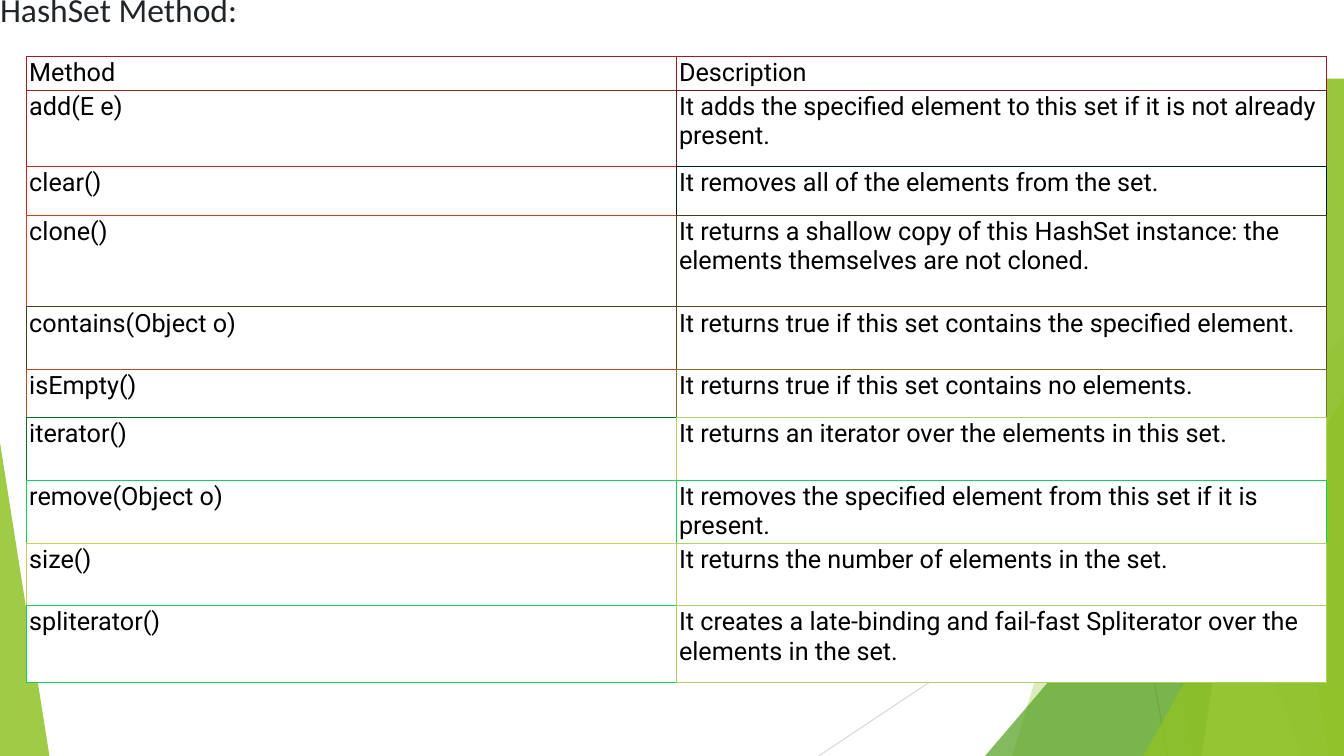
from lxml import etree
from pptx import Presentation
from pptx.dml.color import RGBColor
from pptx.enum.shapes import MSO_CONNECTOR, MSO_SHAPE
from pptx.enum.text import MSO_ANCHOR, PP_ALIGN
from pptx.oxml.ns import qn
from pptx.util import Inches, Pt

WHITE = RGBColor(0xFF, 0xFF, 0xFF)
BLACK = RGBColor(0, 0, 0)
TITLE_INK = RGBColor(0x21, 0x25, 0x29)
LINE_GRAY = RGBColor(0xBF, 0xBF, 0xBF)
PALE_GRAY = RGBColor(0xD9, 0xD9, 0xD9)
LIME = RGBColor(0x90, 0xC2, 0x26)
GREEN = RGBColor(0x54, 0xA0, 0x21)
DARK_GREEN = RGBColor(0x3F, 0x78, 0x19)
PALE_LIME = RGBColor(0xC0, 0xE4, 0x74)

WIDTH, HEIGHT = 13.33, 7.5
PANEL_TOP = -0.01

# Method, description, row height, border colour of each of the two cells
METHODS = [
    ("Method", "Description", 0.19, "A01C23", "A01C23"),
    ("add(E e)", "It adds the specified element to this set if it is not already present.",
     0.76, "A02323", "601D23"),
    ("clear()", "It removes all of the elements from the set.", 0.48, "E01C23", "001E23"),
    ("clone()", "It returns a shallow copy of this HashSet instance: "
     "the elements themselves are not cloned.", 0.91, "E03923", "404023"),
    ("contains(Object o)", "It returns true if this set contains the specified element.",
     0.62, "404323", "604323"),
    ("isEmpty()", "It returns true if this set contains no elements.",
     0.48, "C04623", "806F23"),
    ("iterator()", "It returns an iterator over the elements in this set.",
     0.62, "007223", "B0D25F"),
    ("remove(Object o)", "It removes the specified element from this set if it is present.",
     0.62, "10D15F", "10D05F"),
    ("size()", "It returns the number of elements in the set.", 0.62, "D0CD5F", "B0D35F"),
    ("spliterator()", "It creates a late-binding and fail-fast Spliterator over "
     "the elements in the set.", 0.76, "10CF5F", "B0D05F"),
]


def paint(shape, color, opacity=100):
    """Give a shape a flat fill of some opacity, with no line or shadow."""
    shape.shadow.inherit = False
    shape.line.fill.background()
    shape.fill.solid()
    shape.fill.fore_color.rgb = color
    if opacity < 100:
        tone = shape.fill._xPr.find(".//" + qn("a:srgbClr"))
        etree.SubElement(tone, qn("a:alpha"), val=str(opacity * 1000))


def add_line(page, start, end, color):
    """Draw a thin straight line."""
    line = page.shapes.add_connector(
        MSO_CONNECTOR.STRAIGHT, *[Inches(value) for value in start + end])
    line.line.color.rgb = color
    line.line.width = Pt(0.75)
    etree.SubElement(line._element.spPr, qn("a:effectLst"))


def add_panel(page, top_left, bottom_left, color, opacity):
    """Draw a full-height panel with a slanted left edge, up to the slide's right edge."""
    corners = [(top_left, PANEL_TOP), (WIDTH, PANEL_TOP), (WIDTH, HEIGHT),
               (bottom_left, HEIGHT)]
    points = [(Inches(x), Inches(y)) for x, y in corners]
    builder = page.shapes.build_freeform(*points[0])
    builder.add_line_segments(points[1:], close=True)
    paint(builder.convert_to_shape(), color, opacity)


def add_triangle(page, left, top, width, apex, color, opacity):
    """Draw a triangle that stands on the slide's bottom edge."""
    triangle = page.shapes.add_shape(
        MSO_SHAPE.ISOSCELES_TRIANGLE, Inches(left), Inches(top),
        Inches(width), Inches(HEIGHT - top))
    triangle.adjustments[0] = apex
    paint(triangle, color, opacity)


def add_backdrop(page):
    """Draw the lines and the translucent green facets."""
    add_line(page, (10.25, 0), (11.58, HEIGHT), LINE_GRAY)
    add_line(page, (WIDTH, 4.03), (8.12, HEIGHT), PALE_GRAY)
    add_panel(page, 12.28, 10.04, LIME, 30)
    add_panel(page, 10.5, 11.83, LIME, 20)
    add_triangle(page, 9.77, 3.33, 3.56, 1, GREEN, 72)
    add_panel(page, 10.21, 12.91, DARK_GREEN, 70)
    add_panel(page, 13.03, 11.92, PALE_LIME, 70)
    add_panel(page, 11.96, 13.18, LIME, 65)
    add_triangle(page, 11.34, 3.93, 1.99, 1, LIME, 80)
    add_triangle(page, 0, 4.39, 0.49, 0, LIME, 85)


def style_text(frame, font, size, color):
    """Set the font of all the text in a frame."""
    for para in frame.paragraphs:
        para.alignment = PP_ALIGN.LEFT
        for span in para.runs:
            span.font.name = font
            span.font.size = Pt(size)
            span.font.bold = False
            span.font.color.rgb = color


def add_title(page, text):
    """Add the white title band."""
    band = page.shapes.add_shape(
        MSO_SHAPE.RECTANGLE, Inches(0), Inches(-0.28), Inches(13.41), Inches(1.06))
    paint(band, WHITE)
    frame = band.text_frame
    frame.text = text
    frame.word_wrap = True
    frame.vertical_anchor = MSO_ANCHOR.TOP
    frame.margin_left = frame.margin_right = 0
    frame.margin_top = frame.margin_bottom = Inches(0.17)
    style_text(frame, "Calibri", 24, TITLE_INK)


def set_borders(cell, colors):
    """Set the left, right, top and bottom borders of a cell, in that order."""
    properties = cell._tc.get_or_add_tcPr()
    for index, (side, color) in enumerate(zip("LRTB", colors)):
        edge = etree.Element(qn("a:ln" + side), w=str(Pt(0.5)))
        fill = etree.SubElement(edge, qn("a:solidFill"))
        etree.SubElement(fill, qn("a:srgbClr"), val=color)
        properties.insert(index, edge)


def add_method_table(page):
    """Add the table; inner edges take the colour of the cell to the right or below."""
    heights = [method[2] for method in METHODS]
    table = page.shapes.add_table(
        len(METHODS), 2, Inches(0.26), Inches(0.56),
        Inches(12.89), Inches(sum(heights))).table
    table.first_row = table.horz_banding = False
    for column in table.columns:
        column.width = Inches(12.89 / 2)
    inks = [method[3:] for method in METHODS]
    for row, method in enumerate(METHODS):
        table.rows[row].height = Inches(heights[row])
        below = inks[min(row + 1, len(inks) - 1)]
        for column in range(2):
            cell = table.cell(row, column)
            cell.text_frame.text = method[column]
            cell.margin_left = cell.margin_right = Inches(0.03)
            cell.margin_top = cell.margin_bottom = Inches(0.02)
            cell.fill.solid()
            cell.fill.fore_color.rgb = WHITE
            style_text(cell.text_frame, "Roboto", 18, BLACK)
            own = inks[row][column]
            set_borders(cell, (own, inks[row][1], own, below[column]))


def main():
    """Build the slide and save it."""
    deck = Presentation()
    deck.slide_width, deck.slide_height = Inches(WIDTH), Inches(HEIGHT)
    page = deck.slides.add_slide(deck.slide_layouts[6])
    add_backdrop(page)
    add_title(page, "HashSet Method:")
    add_method_table(page)
    deck.save("out.pptx")


main()
